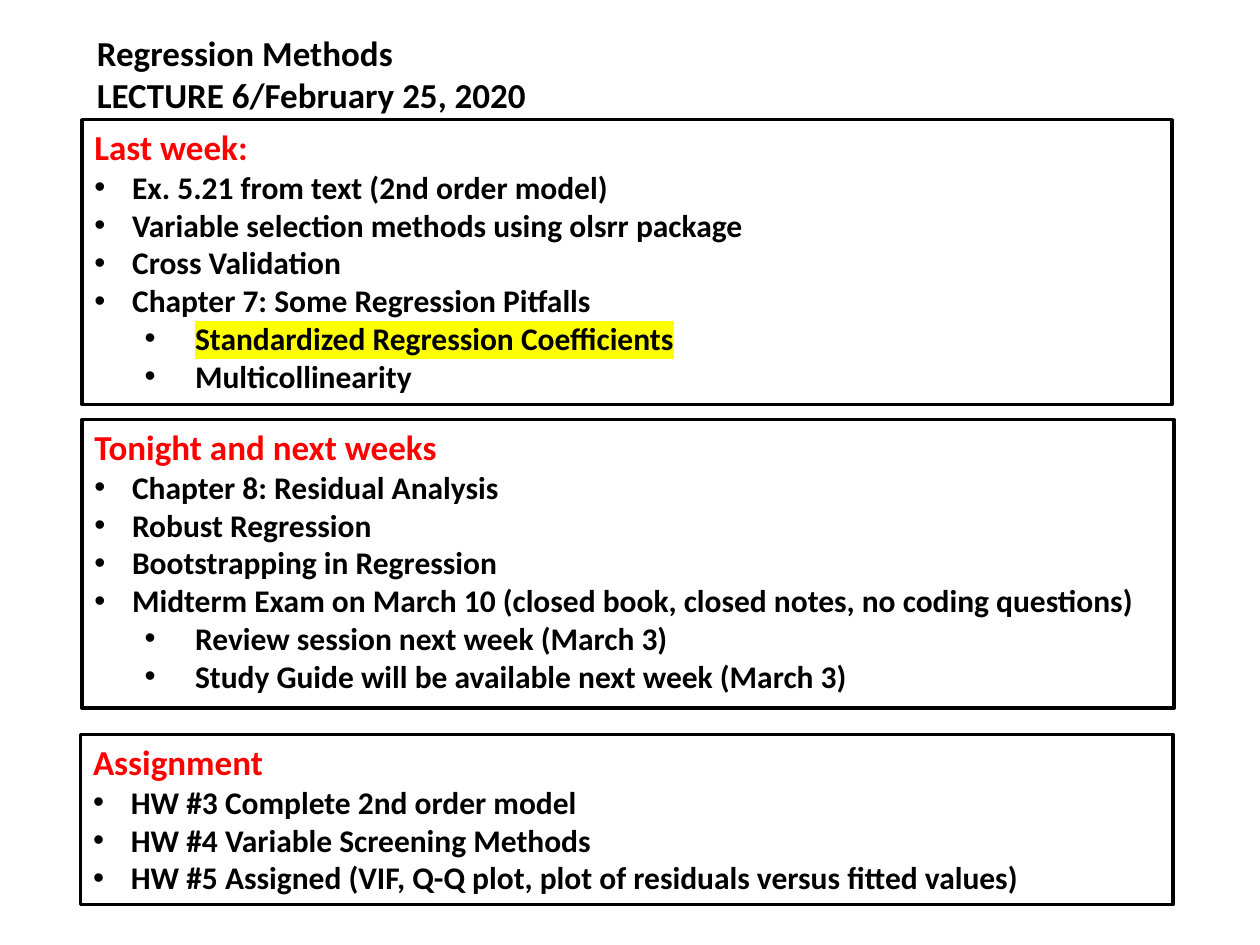
from lxml import etree
from pptx import Presentation
from pptx import util as u
from pptx.dml.color import RGBColor
from pptx.enum import shapes, text
from pptx.oxml.ns import qn

COLORS = {"ink": "000000", "heading": "FF0000", "panel": "FFFFFF", "marker": "FFFF00"}
FONT = "Calibri"
HEADING_SIZE, ITEM_SIZE = 20, 18
TEXT_INDENTS = (0.3, 0.8)
BULLET_HANGS = (0.3, 0.4)
PANEL_LEFT, PANEL_WIDTH = 0.65, 8.67

LAST_WEEK = [
    (0, "Ex. 5.21 from text (2nd order model)"),
    (0, "Variable selection methods using olsrr package"),
    (0, "Cross Validation"),
    (0, "Chapter 7: Some Regression Pitfalls"),
    (1, "Standardized Regression Coefficients"),
    (1, "Multicollinearity"),
]
NEXT_WEEKS = [
    (0, "Chapter 8: Residual Analysis"),
    (0, "Robust Regression"),
    (0, "Bootstrapping in Regression"),
    (0, "Midterm Exam on March 10 (closed book, closed notes, no coding questions)"),
    (1, "Review session next week (March 3)"),
    (1, "Study Guide will be available next week (March 3)"),
]
ASSIGNMENT = [
    (0, "HW #3 Complete 2nd order model"),
    (0, "HW #4 Variable Screening Methods"),
    (0, "HW #5 Assigned (VIF, Q-Q plot, plot of residuals versus fitted values)"),
]


def color(name):
    return RGBColor.from_string(COLORS[name])


def format_runs(paragraph, size, color_name):
    paragraph.alignment = text.PP_ALIGN.LEFT
    for run in paragraph.runs:
        run.font.name = FONT
        run.font.size = u.Pt(size)
        run.font.bold = True
        run.font.color.rgb = color(color_name)


def add_bullet(paragraph, level):
    paragraph.level = level
    properties = paragraph._p.get_or_add_pPr()
    properties.set("marL", str(u.Inches(TEXT_INDENTS[level])))
    properties.set("indent", str(-u.Inches(BULLET_HANGS[level])))
    etree.SubElement(properties, qn("a:buFont")).set("typeface", "Arial")
    etree.SubElement(properties, qn("a:buChar")).set("char", "•")


def highlight(run):
    marker = etree.Element(qn("a:highlight"))
    etree.SubElement(marker, qn("a:srgbClr")).set("val", COLORS["marker"])
    run._r.rPr.find(qn("a:solidFill")).addnext(marker)


def add_title(slide, lines):
    box = slide.shapes.add_textbox(u.Inches(0.67), u.Inches(0.2), u.Inches(8), u.Inches(0.77))
    box.text_frame.word_wrap = True
    box.text_frame.text = "\n".join(lines)
    for paragraph in box.text_frame.paragraphs:
        format_runs(paragraph, HEADING_SIZE, "ink")


def add_panel(slide, top, height, heading, items, left=PANEL_LEFT, width=PANEL_WIDTH,
              filled=True, marked=()):
    panel = slide.shapes.add_shape(
        shapes.MSO_SHAPE.RECTANGLE,
        u.Inches(left), u.Inches(top), u.Inches(width), u.Inches(height))
    panel.shadow.inherit = False
    if filled:
        panel.fill.solid()
        panel.fill.fore_color.rgb = color("panel")
    else:
        panel.fill.background()
    panel.line.color.rgb = color("ink")
    panel.line.width = u.Pt(2)

    frame = panel.text_frame
    frame.word_wrap = True
    frame.vertical_anchor = text.MSO_ANCHOR.TOP
    frame.text = heading
    format_runs(frame.paragraphs[0], HEADING_SIZE, "heading")
    for level, item in items:
        paragraph = frame.add_paragraph()
        paragraph.text = item
        add_bullet(paragraph, level)
        format_runs(paragraph, ITEM_SIZE, "ink")
        if item in marked:
            highlight(paragraph.runs[0])


def main():
    presentation = Presentation()
    presentation.slide_width = u.Inches(10)
    presentation.slide_height = u.Inches(7.5)
    slide = presentation.slides.add_slide(presentation.slide_layouts[6])
    add_title(slide, ["Regression Methods", "LECTURE 6/February 25, 2020"])
    add_panel(slide, 0.95, 2.26, "Last week:", LAST_WEEK, width=8.65, filled=False,
              marked=("Standardized Regression Coefficients",))
    add_panel(slide, 3.33, 2.29, "Tonight and next weeks", NEXT_WEEKS)
    add_panel(slide, 5.83, 1.35, "Assignment", ASSIGNMENT, left=0.64)
    presentation.save("out.pptx")


if __name__ == "__main__":
    main()
